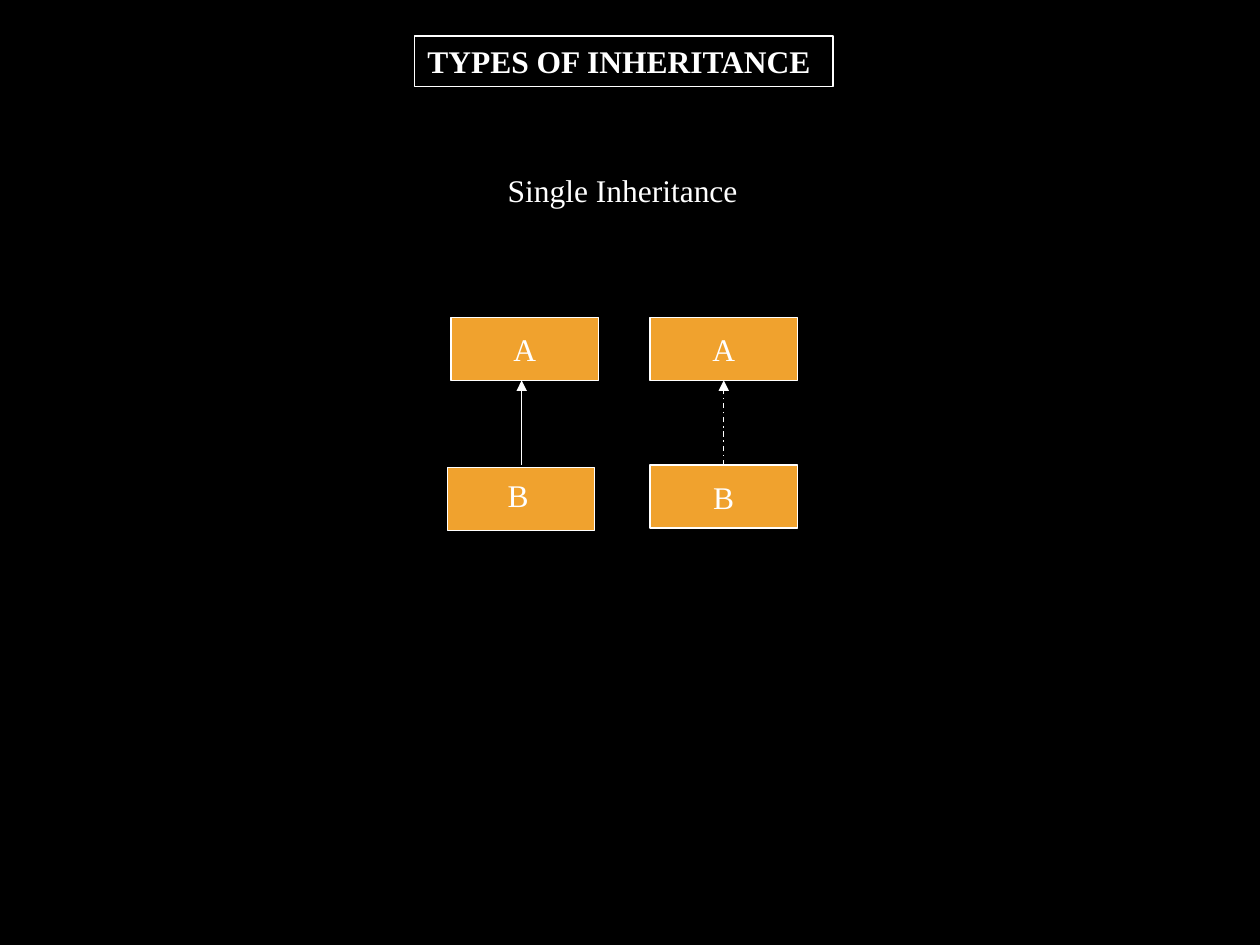
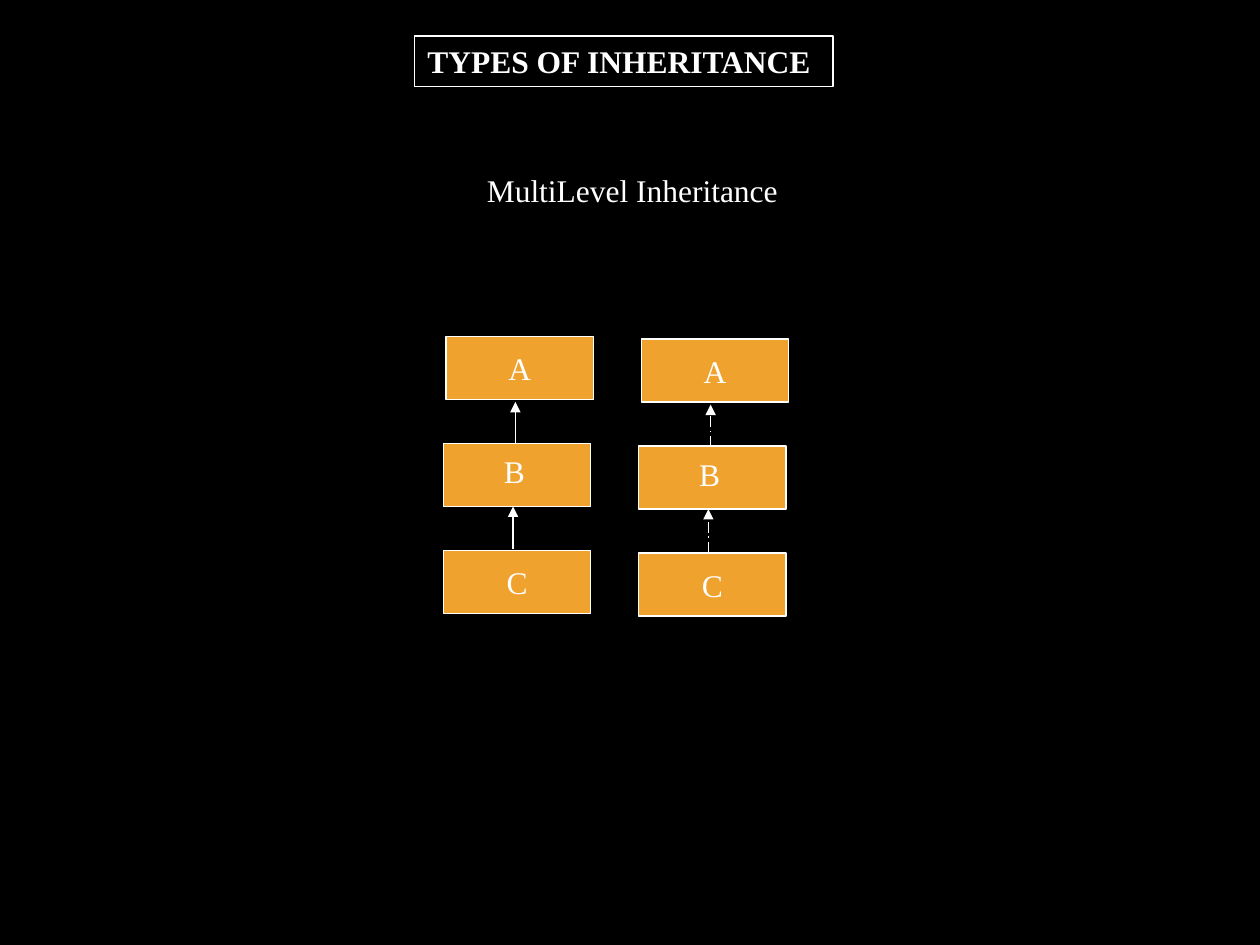
"""Build two slides on single and multilevel inheritance."""
from pptx import Presentation
from pptx.dml.color import RGBColor
from pptx.enum import dml, shapes, text
from pptx.oxml import ns, xmlchemy
from pptx.util import Pt

BLACK = RGBColor(0x00, 0x00, 0x00)
WHITE = RGBColor(0xFF, 0xFF, 0xFF)
ORANGE = RGBColor(0xF0, 0xA2, 0x2E)
FONT = "Times New Roman"
LINE_WIDTH = 0.75
CLASS_WIDTH, CLASS_HEIGHT = 84.2, 36
LEVEL_PITCH = 61.2


def write(box, words, *, size=18, bold=False, align=text.PP_ALIGN.LEFT,
          anchor=text.MSO_ANCHOR.TOP, wrap=True):
    frame = box.text_frame
    frame.word_wrap = wrap
    frame.auto_size = text.MSO_AUTO_SIZE.NONE
    frame.vertical_anchor = anchor
    para = frame.paragraphs[0]
    para.alignment = align
    span = para.add_run()
    span.text = words
    span.font.name = FONT
    span.font.size = Pt(size)
    span.font.bold = bold
    span.font.color.rgb = WHITE


def outline(shape):
    shape.line.color.rgb = WHITE
    shape.line.width = Pt(LINE_WIDTH)


def add_label(page, words, left, top, width, **style):
    box = page.shapes.add_textbox(Pt(left), Pt(top), Pt(width), Pt(29))
    write(box, words, **style)


def add_class(page, left, top, name=None):
    box = page.shapes.add_shape(shapes.MSO_SHAPE.RECTANGLE, Pt(left), Pt(top),
                                Pt(CLASS_WIDTH), Pt(CLASS_HEIGHT))
    box.shadow.inherit = False
    box.fill.solid()
    box.fill.fore_color.rgb = ORANGE
    outline(box)
    if name:
        write(box, name, align=text.PP_ALIGN.CENTER,
              anchor=text.MSO_ANCHOR.MIDDLE, wrap=False)
    return box


def add_offset_class(page, left, top, name):
    add_class(page, left, top)
    add_label(page, name, left + 27.4, top + 1.4, 25.2)


def add_arrow(page, x, start, end, dash=None):
    arrow = page.shapes.add_connector(shapes.MSO_CONNECTOR.STRAIGHT,
                                      Pt(x), Pt(start), Pt(x), Pt(end))
    outline(arrow)
    if dash:
        arrow.line.dash_style = dash
    head = xmlchemy.OxmlElement("a:tailEnd")
    head.set("type", "triangle")
    arrow.line._get_or_add_ln().append(head)
    arrow._element.spPr.append(xmlchemy.OxmlElement("a:effectLst"))
    return arrow


def add_page(deck):
    page = deck.slides.add_slide(deck.slide_layouts[5])
    title = page.shapes.title
    title.left, title.top = Pt(237), Pt(20.6)
    title.width, title.height = Pt(239), Pt(29)
    outline(title)
    write(title, "TYPES OF INHERITANCE", bold=True)
    return page


def add_multilevel_chain(page, left, top, dash=None):
    add_class(page, left + 1.5, top, "A")
    add_offset_class(page, left, top + LEVEL_PITCH, "B")
    add_class(page, left, top + 2 * LEVEL_PITCH, "C")
    add_arrow(page, left + 41.1, top + LEVEL_PITCH, top + 37.5, dash)
    add_arrow(page, left + 39.8, top + 2 * LEVEL_PITCH - 0.7,
              top + LEVEL_PITCH + CLASS_HEIGHT, dash)


def build_single(deck):
    page = add_page(deck)
    add_label(page, "Single Inheritance", 283, 94.3, 167.8)

    add_class(page, 257.8, 181.4, "A")
    add_offset_class(page, 255.6, 267.1, "B")
    add_arrow(page, 298.1, 265.7, 217.4)

    parent = add_class(page, 371.5, 181.4, "A")
    child = add_class(page, 371.5, 265.7, "B")
    arrow = add_arrow(page, 413.6, 265.7, 217.4, dml.MSO_LINE.DASH_DOT)
    arrow.begin_connect(child, 0)
    arrow.end_connect(parent, 2)


def build_multilevel(deck):
    page = add_page(deck)
    add_label(page, "MultiLevel Inheritance", 253.4, 94.3, 216,
              align=text.PP_ALIGN.CENTER)
    add_multilevel_chain(page, 253.4, 192.2)
    add_multilevel_chain(page, 365, 193.7, dml.MSO_LINE.LONG_DASH_DOT)


def main():
    deck = Presentation()
    deck.slide_width, deck.slide_height = Pt(720), Pt(540)
    backdrop = deck.slide_master.background.fill
    backdrop.solid()
    backdrop.fore_color.rgb = BLACK
    build_single(deck)
    build_multilevel(deck)
    deck.save("out.pptx")


if __name__ == "__main__":
    main()
